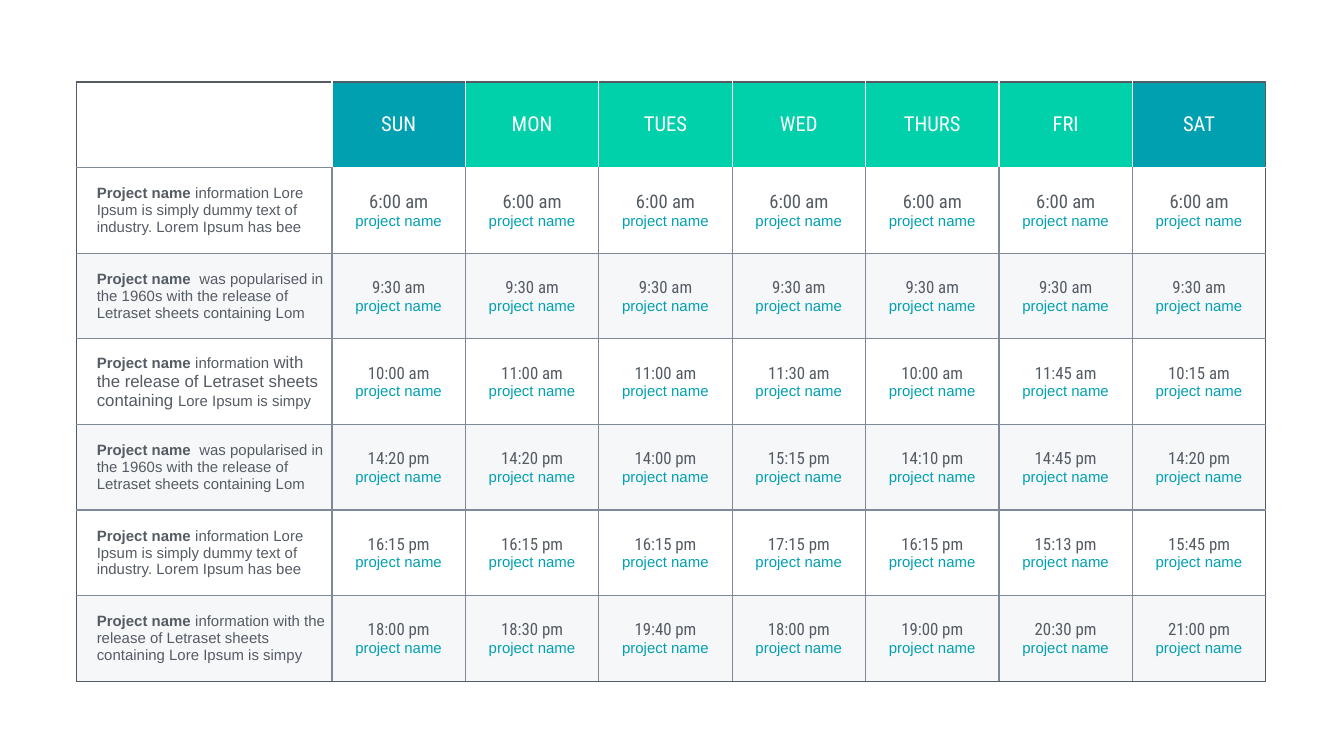
from lxml.etree import SubElement
from pptx import Presentation
from pptx.dml.color import RGBColor
from pptx.enum.text import MSO_ANCHOR, PP_ALIGN
from pptx.oxml import parse_xml
from pptx.oxml.ns import nsdecls, qn
from pptx.util import Inches, Pt

WHITE = RGBColor(0xFF, 0xFF, 0xFF)
DARK = RGBColor(0x54, 0x5B, 0x63)
GREY = RGBColor(0x7F, 0x89, 0x98)
BAND = RGBColor(0xEE, 0xF0, 0xF4)
TEAL = RGBColor(0x00, 0xA0, 0xB1)
GREEN = RGBColor(0x00, 0xD1, 0xAB)

DAYS = ["SUN", "MON", "TUES", "WED", "THURS", "FRI", "SAT"]
WEEKEND = ("SUN", "SAT")

# Description parts after the bold project name: (text, size)
DUMMY = [("information Lore Ipsum is simply dummy text of industry. "
          "Lorem Ipsum has bee", 8)]
POPULAR = [(" was popularised in the 1960s with the release of "
            "Letraset sheets containing Lom", 8)]
MIXED = [("information ", 8),
         ("with the release of Letraset sheets containing ", 9),
         ("Lore Ipsum is simpy", 8)]
RELEASE = [("information with the release of Letraset sheets "
            "containing Lore Ipsum is simpy", 8)]

# Each row: description, half of the day, size of the times, times
SCHEDULE = [
    (DUMMY, "am", 10, ["6:00"] * 7),
    (POPULAR, "am", 9, ["9:30"] * 7),
    (MIXED, "am", 9, "10:00 11:00 11:00 11:30 10:00 11:45 10:15".split()),
    (POPULAR, "pm", 9, "14:20 14:20 14:00 15:15 14:10 14:45 14:20".split()),
    (DUMMY, "pm", 9, "16:15 16:15 16:15 17:15 16:15 15:13 15:45".split()),
    (RELEASE, "pm", 9, "18:00 18:30 19:40 18:00 19:00 20:30 21:00".split()),
]

# Table frame, in inches
LEFT, TOP, WIDTH, HEIGHT = 0.57, 0.61, 8.85, 4.46
NAME_WIDTH = 1.9


class Planner:
    """Style and current slide of the weekly plan."""
    body_font = "Arial"
    time_font = "Roboto Condensed"
    border_width = Pt(0.75)

    def __init__(self, prs):
        self.s = prs.slides.add_slide(prs.slide_layouts[6])

    def table(self, left, top, widths, heights):
        frame = self.s.shapes.add_table(
            len(heights), len(widths), Inches(left), Inches(top),
            Inches(sum(widths)), Inches(sum(heights)))
        tbl = frame.table
        tbl.first_row = tbl.horz_banding = False
        for column, width in zip(tbl.columns, widths):
            column.width = Inches(width)
        for row, height in zip(tbl.rows, heights):
            row.height = Inches(height)
        return tbl

    def cell(self, cell, borders, color=None, alpha=None, left=0.04):
        cell.vertical_anchor = MSO_ANCHOR.MIDDLE
        cell.margin_left, cell.margin_right = Inches(left), Inches(0.04)
        cell.margin_top = cell.margin_bottom = Inches(0.02)
        if color is None:
            cell.fill.background()
        else:
            cell.fill.solid()
            cell.fill.fore_color.rgb = color
        tcPr = cell._tc.get_or_add_tcPr()
        if alpha:
            clr = tcPr.find(".//" + qn("a:srgbClr"))
            SubElement(clr, qn("a:alpha"), val=str(alpha * 1000))
        # Lines come before the fill, in the order left, right, top, bottom
        for i, (side, line_color) in enumerate(zip("LRTB", borders)):
            tcPr.insert(i, parse_xml(
                f'<a:ln{side} {nsdecls("a")} w="{self.border_width}">'
                f'<a:solidFill><a:srgbClr val="{line_color}"/></a:solidFill>'
                f'</a:ln{side}>'))

    def style(self, p, size, font, color, align=PP_ALIGN.CENTER):
        p.alignment = align
        p.font.size, p.font.name = Pt(size), font
        p.font.color.rgb = color

    def line(self, p, text, size, font, color):
        p.text = text
        self.style(p, size, font, color)

    def description(self, p, parts):
        self.style(p, 8, self.body_font, DARK, PP_ALIGN.LEFT)
        for i, (text, size) in enumerate([("Project name ", 8)] + parts):
            r = p.add_run()
            r.text = text
            r.font.size = Pt(size)
            r.font.bold = i == 0


def border_colors(row, col, last_row, last_col):
    """Dark outer frame, white lines around the header, grey elsewhere."""
    outer = {"L": col == 0, "R": col == last_col,
             "T": row == 0, "B": row == last_row}
    colors = []
    for side in "LRTB":
        header = row == 0 and (col > 0 or side == "R")
        below_header = row == 1 and col > 0 and side == "T"
        colors.append(DARK if outer[side]
                      else WHITE if header or below_header else GREY)
    return colors


def main():
    prs = Presentation()
    prs.slide_width = Inches(10)
    prs.slide_height = prs.slide_width * 9 // 16
    plan = Planner(prs)
    last_row, last_col = len(SCHEDULE), len(DAYS)
    day_width = (WIDTH - NAME_WIDTH) / last_col
    row_height = HEIGHT / (last_row + 1)
    tbl = plan.table(LEFT, TOP, [NAME_WIDTH] + [day_width] * last_col,
                     [row_height] * (last_row + 1))

    # Header row
    plan.cell(tbl.cell(0, 0), border_colors(0, 0, last_row, last_col))
    for col, day in enumerate(DAYS, 1):
        cell = tbl.cell(0, col)
        plan.cell(cell, border_colors(0, col, last_row, last_col),
                  TEAL if day in WEEKEND else GREEN)
        plan.line(cell.text_frame.paragraphs[0], day, 11,
                  plan.time_font, WHITE)

    # Project rows, every second one tinted
    for row, (parts, half, size, times) in enumerate(SCHEDULE, 1):
        tint = (BAND, 50) if row % 2 == 0 else (None, None)
        for col in range(last_col + 1):
            cell = tbl.cell(row, col)
            plan.cell(cell, border_colors(row, col, last_row, last_col),
                      *tint, left=0.04 if col else 0.15)
            tf = cell.text_frame
            if col == 0:
                plan.description(tf.paragraphs[0], parts)
                continue
            plan.line(tf.paragraphs[0], f"{times[col - 1]} {half}", size,
                      plan.time_font, DARK)
            plan.line(tf.add_paragraph(), "project name", 8,
                      plan.body_font, TEAL)

    prs.save("out.pptx")


if __name__ == "__main__":
    main()
